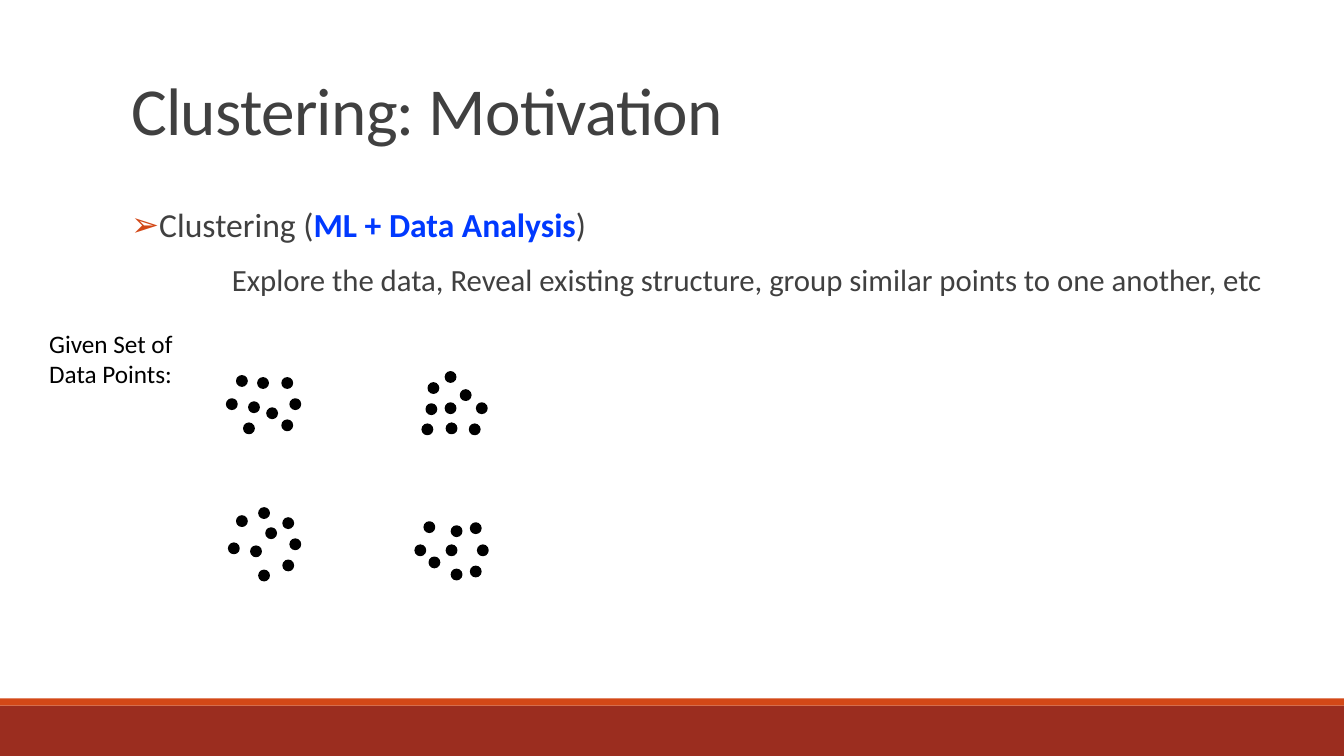
"""Build the clustering motivation slide with four groups of data points."""
from dataclasses import dataclass

from lxml.etree import SubElement
from pptx import Presentation
from pptx.dml.color import RGBColor
from pptx.enum.shapes import MSO_SHAPE as Preset
from pptx.enum.text import MSO_ANCHOR as Anchor, MSO_AUTO_SIZE as AutoSize, PP_ALIGN as Align
from pptx.oxml.ns import qn
from pptx.util import Inches, Pt

COLORS = {
    "text": "404040",
    "accent": "D34817",
    "footer": "9B2D1F",
    "highlight": "0039FF",
    "black": "000000",
}
FONT = "Calibri"
CELL = 0.1
COLUMNS, ROWS = 133.33, 75
DOT_SIZE = 1


@dataclass(frozen=True)
class Area:
    left: float
    top: float
    width: float
    height: float


@dataclass(frozen=True)
class Band:
    area: Area
    color: str


@dataclass(frozen=True)
class Cluster:
    left: float
    top: float
    offsets: tuple[tuple[float, float], ...]


BANDS = (
    Band(Area(0, 70, COLUMNS, 5), "footer"),
    Band(Area(0, 69.3, COLUMNS, 0.7), "accent"),
)
CLUSTERS = (
    Cluster(41.9, 36.9, ((0, 5.2), (2.4, 5.1), (0.6, 1.1), (0.4, 3.2), (4.7, 5.2),
                         (5.4, 3.1), (3.8, 1.8), (2.3, 0), (2.3, 3.1))),
    Cluster(22.5, 37.3, ((1.7, 4.7), (4, 3.2), (1, 0), (0, 2.3), (5.5, 4.4),
                         (6.3, 2.3), (5.5, 0.2), (3.1, 0.2), (2.2, 2.6))),
    Cluster(22.7, 50.4, ((0, 3.5), (3, 6.2), (0.8, 0.8), (2.2, 3.8), (5.4, 5.2),
                         (6.1, 3.1), (5.4, 1), (3, 0), (3.7, 2))),
    Cluster(41.2, 51.8, ((1.4, 3.5), (3.6, 4.7), (0.9, 0), (0, 2.3), (5.5, 4.4),
                         (6.2, 2.3), (5.5, 0.1), (3.6, 0.4), (3.1, 2.3))),
)


def cells(count: float) -> int:
    return Inches(count * CELL)


def rgb(name: str) -> RGBColor:
    return RGBColor.from_string(COLORS[name])


def bounds(area: Area) -> tuple[int, int, int, int]:
    return cells(area.left), cells(area.top), cells(area.width), cells(area.height)


def place(box, area: Area, anchor=Anchor.TOP):
    box.left, box.top, box.width, box.height = bounds(area)
    frame = box.text_frame
    frame.word_wrap = True
    frame.auto_size = AutoSize.NONE
    frame.vertical_anchor = anchor
    return frame


def set_font(para, size: float, color: str) -> None:
    para.alignment = Align.LEFT
    para.font.name = FONT
    para.font.size = Pt(size)
    para.font.color.rgb = rgb(color)


def set_spacing(para) -> None:
    para.line_spacing = 0.9
    para.space_before, para.space_after = Pt(12), Pt(2)


def set_indent(para, margin: float, indent: float):
    properties = para._p.get_or_add_pPr()
    properties.set("marL", str(cells(margin)))
    properties.set("indent", str(cells(indent)))
    return properties


def add_shape(shapes, preset, area: Area, color: str):
    shape = shapes.add_shape(preset, *bounds(area))
    shape.shadow.inherit = False
    shape.fill.solid()
    shape.fill.fore_color.rgb = rgb(color)
    shape.line.fill.background()
    return shape


def add_cluster(page, cluster: Cluster) -> None:
    group = page.shapes.add_group_shape()
    for column, row in cluster.offsets:
        area = Area(cluster.left + column, cluster.top + row, DOT_SIZE, DOT_SIZE)
        dot = add_shape(group.shapes, Preset.OVAL, area, "black")
        dot.line.color.rgb = rgb("black")
        dot.line.width = Pt(1.25)


def fill_title(page) -> None:
    frame = place(page.shapes.title, Area(12, -0.6, 110, 15.9), Anchor.BOTTOM)
    para = frame.paragraphs[0]
    para.text = "Clustering: Motivation"
    para.line_spacing = 0.85
    set_font(para, 48, "text")
    para._p.get_or_add_pPr().get_or_add_defRPr().set("spc", "-50")


def fill_body(page) -> None:
    frame = place(page.placeholders[1], Area(12, 20.2, 116.1, 48.3))
    topic = frame.paragraphs[0]
    set_spacing(topic)
    properties = set_indent(topic, 1, -1)
    bullet_color = SubElement(properties, qn("a:buClr"))
    SubElement(bullet_color, qn("a:srgbClr"), val=COLORS["accent"])
    SubElement(properties, qn("a:buChar"), char="➢")
    set_font(topic, 24, "text")
    for text in ("Clustering (", "ML + Data Analysis", ")"):
        span = topic.add_run()
        span.text = text
    highlight = topic.runs[1].font
    highlight.bold = True
    highlight.color.rgb = rgb("highlight")

    detail = frame.add_paragraph()
    detail.text = "Explore the data, Reveal existing structure, group similar points to one another, etc"
    set_spacing(detail)
    SubElement(set_indent(detail, 10, 0), qn("a:buNone"))
    set_font(detail, 22, "text")


def add_label(page) -> None:
    area = Area(3.9, 32.1, 15.4, 7.1)
    frame = place(page.shapes.add_textbox(*bounds(area)), area)
    para = frame.paragraphs[0]
    para.text = "Given Set of Data Points:"
    set_font(para, 18, "black")


def main() -> None:
    deck = Presentation()
    deck.slide_width, deck.slide_height = cells(COLUMNS), cells(ROWS)
    page = deck.slides.add_slide(deck.slide_layouts[1])
    for band in BANDS:
        add_shape(page.shapes, Preset.RECTANGLE, band.area, band.color)
    fill_title(page)
    fill_body(page)
    for cluster in CLUSTERS:
        add_cluster(page, cluster)
    add_label(page)
    deck.save("out.pptx")


if __name__ == "__main__":
    main()
